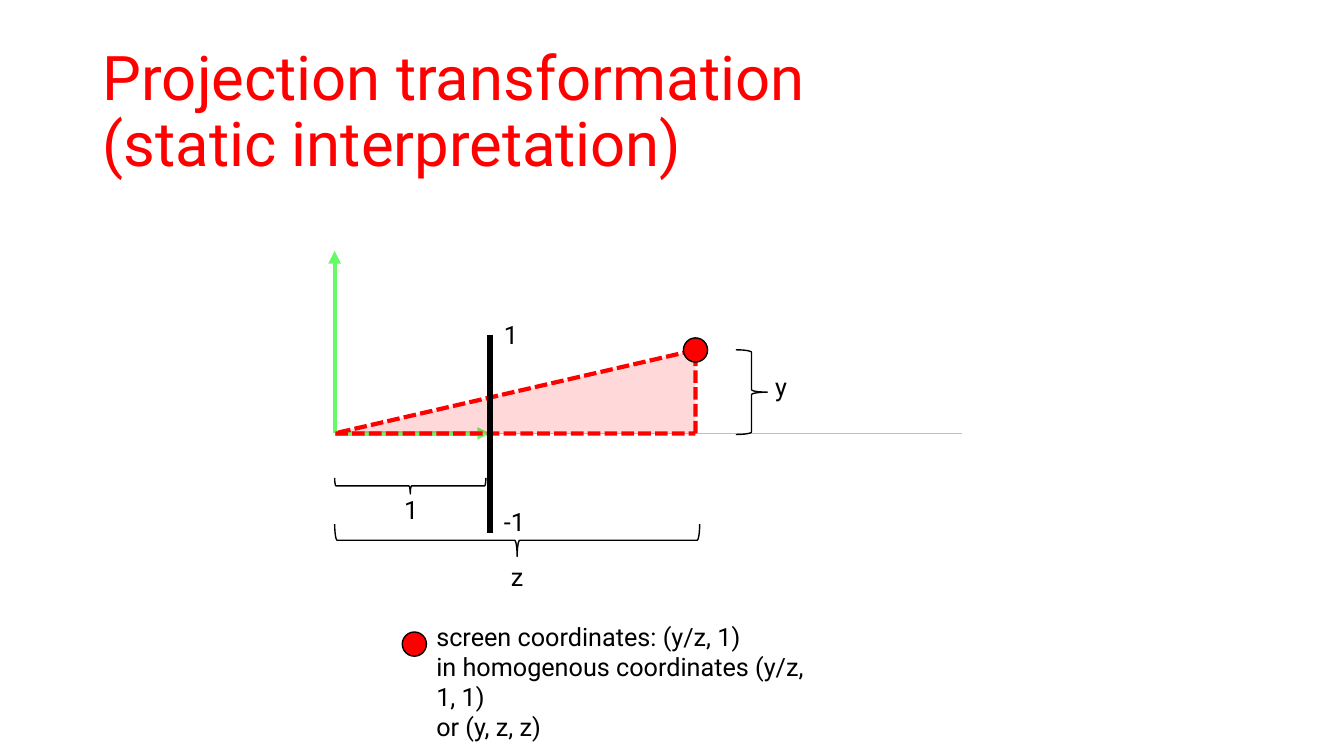
from dataclasses import dataclass

from lxml.etree import SubElement
from pptx import Presentation
from pptx.dml.color import RGBColor
from pptx.enum.dml import MSO_LINE
from pptx.enum.shapes import MSO_CONNECTOR, MSO_SHAPE
from pptx.enum.text import MSO_ANCHOR, PP_ALIGN
from pptx.oxml.ns import qn
from pptx.shapes.autoshape import Shape
from pptx.slide import Slide
from pptx.text.text import TextFrame
from pptx.util import Inches, Pt

RED = RGBColor(0xFF, 0x00, 0x00)
GREEN = RGBColor(0x66, 0xFA, 0x66)
BLACK = RGBColor(0x00, 0x00, 0x00)
GREY = RGBColor(0xBF, 0xBF, 0xBF)
FONT = "Roboto"
WIDTH, HEIGHT = Inches(13.33), Inches(7.5)


@dataclass(frozen=True)
class Point:
    """A place in percent of the slide's width and height."""
    x: float
    y: float


@dataclass(frozen=True)
class Frame:
    """A box in percent of the slide's width and height."""
    left: float
    top: float
    width: float
    height: float

    def lengths(self) -> tuple[int, int, int, int]:
        return (across(self.left), down(self.top),
                across(self.width), down(self.height))


@dataclass(frozen=True)
class Ray:
    start: Point
    end: Point
    color: RGBColor
    weight: float
    arrow: bool = False


@dataclass(frozen=True)
class Brace:
    frame: Frame
    rotation: int


@dataclass(frozen=True)
class Label:
    frame: Frame
    lines: tuple[str, ...]
    wrap: bool = False


ORIGIN = Point(24.9, 57.33)
VERTEX = Point(51.75, 46.3)
LEGEND = Point(30.83, 85.2)
SCREEN_X = 36.45
SCREEN_LABEL_X = 36.75
LABEL_HEIGHT = 5.33

AXES = (
    Ray(ORIGIN, Point(ORIGIN.x, 33.2), GREEN, 3, arrow=True),
    Ray(ORIGIN, Point(SCREEN_X, ORIGIN.y), GREEN, 3, arrow=True),
    Ray(ORIGIN, Point(71.55, ORIGIN.y), GREY, 0.75),
)
SCREEN = Ray(Point(SCREEN_X, 44.27), Point(SCREEN_X, 70.53), BLACK, 4.5)
BRACES = (
    Brace(Frame(37.28, 47.33, 2.4, 48.27), 270),
    Brace(Frame(54.75, 46.27, 2.33, 11.2), 180),
    Brace(Frame(29.93, 54.27, 1.2, 20), 270),
)
LABELS = (
    Label(Frame(37.28, 73.6, 2.18, LABEL_HEIGHT), ("z",)),
    Label(Frame(56.93, 48.4, 2.25, LABEL_HEIGHT), ("y",)),
    Label(Frame(SCREEN_LABEL_X, 41.6, 2.63, LABEL_HEIGHT), ("1",)),
    Label(Frame(SCREEN_LABEL_X, 66.27, 3.23, LABEL_HEIGHT), ("-1",)),
    Label(Frame(29.33, 64.67, 2.63, LABEL_HEIGHT), ("1",)),
    Label(Frame(31.73, 81.47, 30.15, 13.47),
          ("screen coordinates: (y/z, 1)",
           "in homogenous coordinates (y/z, 1, 1)",
           "or (y, z, z)"), wrap=True),
)


def across(percent: float) -> int:
    return round(WIDTH * percent / 100)


def down(percent: float) -> int:
    return round(HEIGHT * percent / 100)


def style_text(text_frame: TextFrame, size: float, color: RGBColor) -> None:
    for paragraph in text_frame.paragraphs:
        paragraph.alignment = PP_ALIGN.LEFT
        paragraph.font.name = FONT
        paragraph.font.size = Pt(size)
        paragraph.font.color.rgb = color


def add_title(page: Slide) -> None:
    title = page.shapes.title
    title.left, title.top, title.width, title.height = Frame(
        6.9, 5.33, 86.25, 19.33).lengths()
    text_frame = title.text_frame
    text_frame.text = "Projection transformation\v(static interpretation)"
    text_frame.vertical_anchor = MSO_ANCHOR.MIDDLE
    text_frame.paragraphs[0].line_spacing = 0.9
    style_text(text_frame, 44, RED)


def add_ray(page: Slide, ray: Ray) -> None:
    connector = page.shapes.add_connector(
        MSO_CONNECTOR.STRAIGHT, across(ray.start.x), down(ray.start.y),
        across(ray.end.x), down(ray.end.y))
    connector.line.color.rgb = ray.color
    connector.line.width = Pt(ray.weight)
    if ray.arrow:
        SubElement(connector.line._get_or_add_ln(), qn("a:tailEnd"), type="triangle")
    SubElement(connector._element.spPr, qn("a:effectLst"))


def add_outlined(page: Slide, kind: MSO_SHAPE, frame: Frame,
                 color: RGBColor, weight: float) -> Shape:
    shape = page.shapes.add_shape(kind, *frame.lengths())
    shape.shadow.inherit = False
    shape.fill.background()
    shape.line.color.rgb = color
    shape.line.width = Pt(weight)
    return shape


def add_view_triangle(page: Slide) -> None:
    """Draw the dashed triangle, its right angle below the vertex."""
    frame = Frame(ORIGIN.x, VERTEX.y, VERTEX.x - ORIGIN.x, ORIGIN.y - VERTEX.y)
    triangle = add_outlined(page, MSO_SHAPE.RIGHT_TRIANGLE, frame, RED, 3)
    triangle.line.dash_style = MSO_LINE.SQUARE_DOT
    triangle.fill.solid()
    triangle.fill.fore_color.rgb = RED
    properties = triangle._element.spPr
    properties.find(qn("a:xfrm")).set("flipH", "1")
    fill_color = properties.find(qn("a:solidFill")).find(qn("a:srgbClr"))
    SubElement(fill_color, qn("a:alpha"), val="15000")


def add_brace(page: Slide, brace: Brace) -> None:
    shape = add_outlined(page, MSO_SHAPE.LEFT_BRACE, brace.frame, BLACK, 1)
    shape.adjustments[0] = 0.08
    shape.rotation = brace.rotation


def add_dot(page: Slide, center: Point) -> None:
    width, height = 1.8, 3.2
    frame = Frame(center.x - width / 2, center.y - height / 2, width, height)
    dot = add_outlined(page, MSO_SHAPE.OVAL, frame, BLACK, 1)
    dot.fill.solid()
    dot.fill.fore_color.rgb = RED


def add_label(page: Slide, label: Label) -> None:
    box = page.shapes.add_textbox(*label.frame.lengths())
    box.text_frame.word_wrap = label.wrap
    box.text_frame.text = "\n".join(label.lines)
    style_text(box.text_frame, 18, BLACK)


def main() -> None:
    deck = Presentation()
    deck.slide_width, deck.slide_height = WIDTH, HEIGHT
    page = deck.slides.add_slide(deck.slide_layouts.get_by_name("Title Only"))
    add_title(page)
    for axis in AXES:
        add_ray(page, axis)
    add_view_triangle(page)
    for brace in BRACES:
        add_brace(page, brace)
    add_ray(page, SCREEN)
    for center in (LEGEND, VERTEX):
        add_dot(page, center)
    for label in LABELS:
        add_label(page, label)
    deck.save("out.pptx")


if __name__ == "__main__":
    main()
